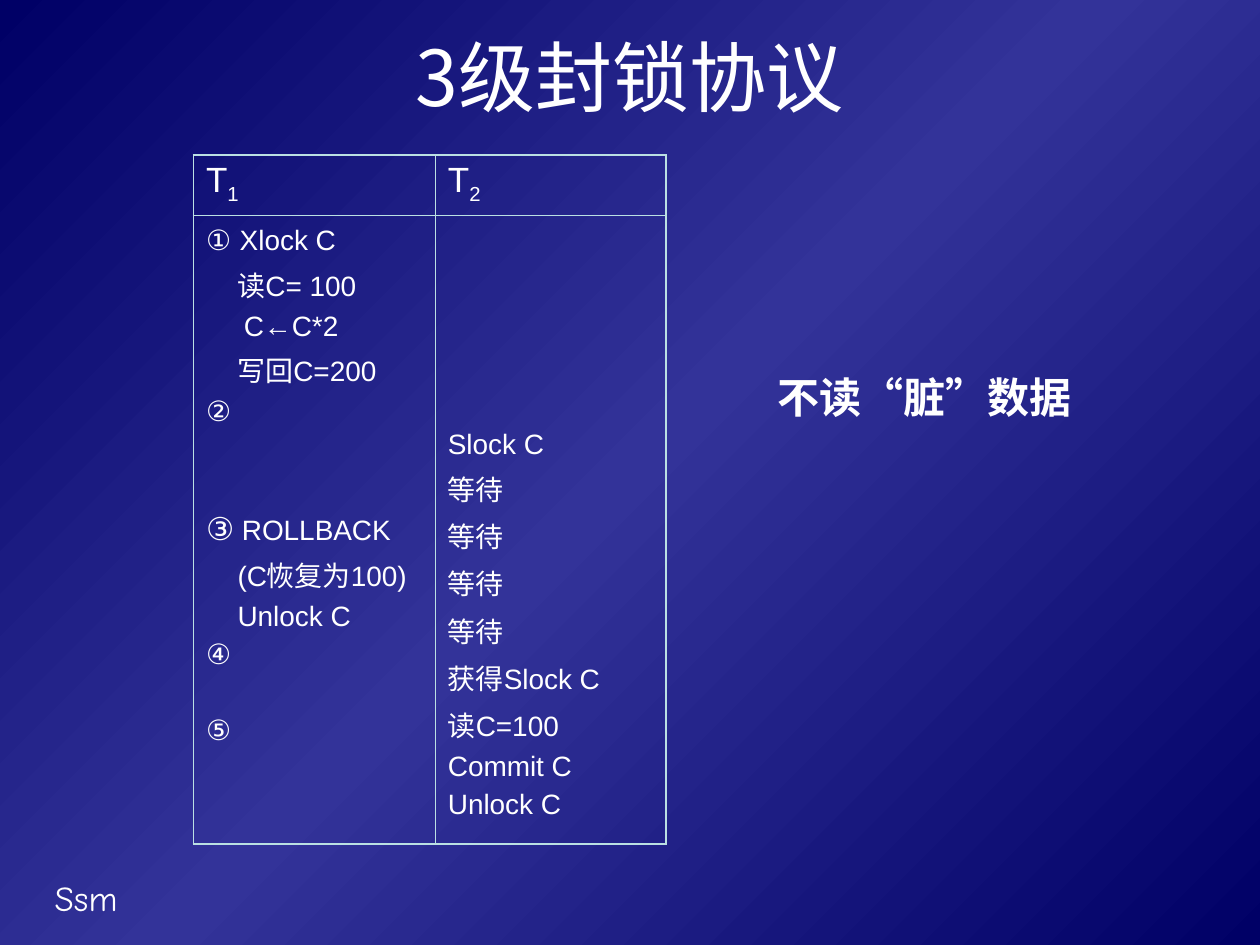
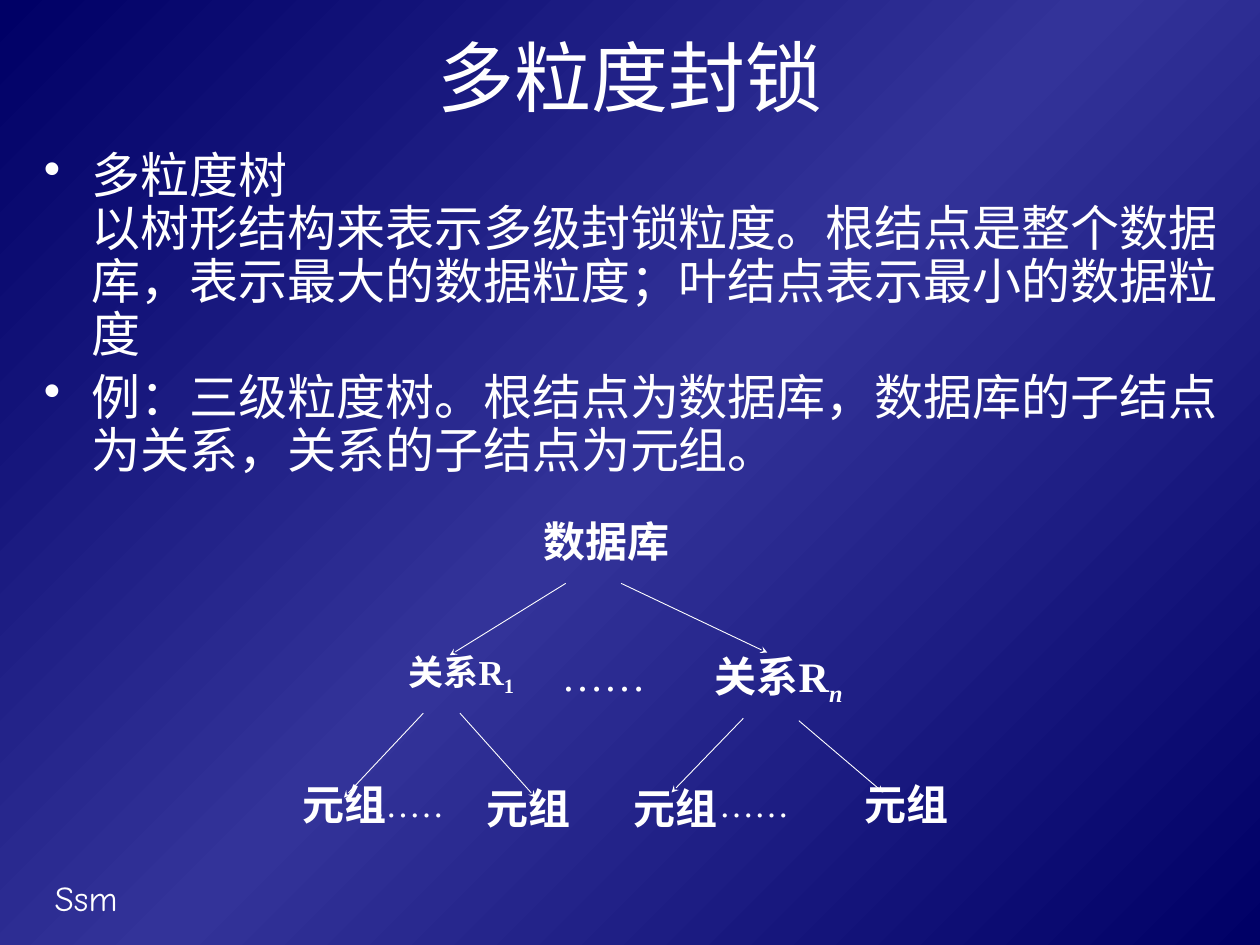
from copy import deepcopy
from dataclasses import dataclass
from typing import NamedTuple

from lxml.etree import SubElement
from pptx import Presentation
from pptx.dml.color import RGBColor as Rgb
from pptx.enum.shapes import MSO_CONNECTOR as Connector
from pptx.enum.text import MSO_ANCHOR as Anchor, PP_ALIGN as Align
from pptx.oxml.ns import qn
from pptx.util import Emu, Inches, Pt

COLUMNS, ROWS = 100, 75
UNIT = Inches(0.1)


@dataclass(frozen=True)
class Theme:
    edge: Rgb = Rgb(0x00, 0x00, 0x66)
    middle: Rgb = Rgb(0x33, 0x33, 0x99)
    ink: Rgb = Rgb(0xFF, 0xFF, 0xFF)
    border: Rgb = Rgb(0xBB, 0xE0, 0xE3)
    chinese: str = "Noto Sans CJK SC"
    sans: str = "Arial"
    serif: str = "Times New Roman"
    footer: str = "Comic Neue"
    title_size: float = 44
    body_size: float = 28
    node_size: float = 24
    small_size: float = 20
    step_size: float = 16
    step_gap: float = 4
    thick: float = 1.08
    thin: float = 0.45
    arrow: float = 0.5


THEME = Theme()


class Box(NamedTuple):
    left: float
    top: float
    width: float
    height: float


@dataclass(frozen=True)
class Style:
    font: str
    size: float
    bold: bool = False
    east: str = THEME.chinese


@dataclass(frozen=True)
class Span:
    text: str
    size: float | None = None
    sub: bool = False
    italic: bool = False


@dataclass(frozen=True)
class Para:
    spans: tuple[Span, ...]
    before: float = 0
    indent: float = 0
    align: Align = Align.LEFT
    spacing: float = 1
    bullet: bool = False


@dataclass(frozen=True)
class Node:
    box: Box
    spans: tuple[Span, ...]
    size: float = THEME.node_size


class Arrow(NamedTuple):
    start_x: float
    start_y: float
    end_x: float
    end_y: float


TITLE_STYLE = Style(THEME.chinese, THEME.title_size)
BODY_STYLE = Style(THEME.chinese, THEME.body_size)
FOOTER_STYLE = Style(THEME.footer, THEME.small_size)
HEAD_STYLE = Style(THEME.sans, THEME.small_size)
STEP_STYLE = Style(THEME.sans, THEME.step_size)
NOTE_STYLE = Style(THEME.serif, THEME.node_size, bold=True)

TITLE_BOX = Box(5, 1.65, 90, 8.7)
FOOTER_BOX = Box(3.35, 69.1, 20.8, 4.4)
NOTE_BOX = Box(59.2, 28.1, 28.3, 6.7)
TABLE_BOX = Box(15.35, 12.3, 37.5, 54.7)
TABLE_COLUMNS = (19.2, 18.3)
TABLE_ROWS = (4.8, 49.9)
SECOND_START = 17
BODY_BOX = Box(2.5, 11.5, 95.8, 29)


def step(text: str, blank_lines: int = 0, indent: float = 0) -> Para:
    line = THEME.step_size * 1.12 + THEME.step_gap
    return Para((Span(text),), THEME.step_gap + blank_lines * line, indent)


FIRST_STEPS = (
    Para((Span("①"), Span(" ", 18), Span("Xlock C"))),
    step("读C= 100", indent=2.5),
    step("C←C*2", indent=3),
    step("写回C=200", indent=2.5),
    step("②"),
    Para((Span("③", 18), Span(" ROLLBACK")), step("", 2).before),
    step("(C恢复为100)", indent=2.5),
    step("Unlock C", indent=2.5),
    step("④"),
    step("⑤", 1),
)
SECOND_STEPS = (
    Para((Span("Slock C"),)),
    *(step("等待") for _ in range(4)),
    *map(step, ("获得Slock C", "读C=100", "Commit C", "Unlock C")),
)
BODY_TEXTS = (
    "多粒度树\n以树形结构来表示多级封锁粒度。根结点是整个数据库，"
    "表示最大的数据粒度；叶结点表示最小的数据粒度",
    "例：三级粒度树。根结点为数据库，数据库的子结点为关系，关系的子结点为元组。",
)

TUPLE = (Span("元组"),)
NODES = (
    Node(Box(40.9, 40.65, 14.4, 6.4), (Span("数据库"),)),
    Node(Box(54.5, 51.1, 14.6, 5.7),
         (Span("关系R"), Span("n", sub=True, italic=True))),
    Node(Box(28.2, 51.1, 16.8, 9.1),
         (Span("关系R"), Span("1", sub=True)), THEME.small_size),
    Node(Box(21.65, 61.55, 11.4, 5.9), TUPLE),
    Node(Box(64.75, 61.55, 14.4, 6.6), TUPLE),
    Node(Box(36.25, 61.85, 11.4, 5.9), TUPLE),
    Node(Box(47.9, 61.85, 11.4, 5.9), TUPLE),
)
DOTS = (Span("……"),)
GAPS = (
    Node(Box(43.6, 51.3, 14.6, 4.8), DOTS),
    Node(Box(56.1, 61.8, 14.6, 6.6), DOTS, THEME.small_size),
    Node(Box(28.7, 61.8, 14.6, 4.8), DOTS, THEME.small_size),
)
ARROWS = (
    Arrow(44.9, 46.3, 35.7, 52), Arrow(49.3, 46.3, 60.9, 51.8),
    Arrow(33.6, 56.6, 27.3, 63.3), Arrow(36.5, 56.6, 42.5, 63.3),
    Arrow(59, 57, 53.3, 62.9), Arrow(63.4, 57.2, 70.1, 62.9),
)


def grid(value: float) -> Emu:
    return Emu(round(value * UNIT))


def place(box: Box) -> tuple[Emu, ...]:
    return tuple(map(grid, box))


def add_span(para, span: Span, style: Style) -> None:
    for number, text in enumerate(span.text.split("\n")):
        if number:
            para.add_line_break()
        run = para.add_run()
        run.text = text
        font = run.font
        font.name = style.font
        font.size = Pt(span.size or style.size)
        font.bold = style.bold
        font.italic = span.italic
        font.color.rgb = THEME.ink
        properties = run._r.get_or_add_rPr()
        SubElement(properties, qn("a:ea")).set("typeface", style.east)
        if span.sub:
            properties.set("baseline", "-25000")


def write(frame, paras: tuple[Para, ...], style: Style) -> None:
    for number, item in enumerate(paras):
        para = frame.add_paragraph() if number else frame.paragraphs[0]
        para.alignment = item.align
        para.line_spacing = item.spacing
        para.space_before = Pt(item.before if number else 0)
        properties = para._p.get_or_add_pPr()
        if item.indent:
            properties.set("marL", str(grid(item.indent)))
        if item.bullet:
            properties.set("indent", str(-grid(item.indent)))
            SubElement(properties, qn("a:buChar")).set("char", "•")
        for span in item.spans:
            add_span(para, span, style)


def add_text(page, box: Box, paras: tuple[Para, ...], style: Style,
             wrap: bool = True, anchor: Anchor = Anchor.TOP) -> None:
    frame = page.shapes.add_textbox(*place(box)).text_frame
    frame.word_wrap = wrap
    frame.vertical_anchor = anchor
    write(frame, paras, style)


def paint_background(master) -> None:
    fill = master.background.fill
    fill.gradient()
    fill.gradient_angle = 315
    stops = master._element.find(".//" + qn("a:gsLst"))
    stops.insert(1, deepcopy(stops[0]))
    colors = (THEME.edge, THEME.middle, THEME.edge)
    for number, (stop, color) in enumerate(zip(fill.gradient_stops, colors)):
        stop.color.rgb = color
        stop.position = number / 2


def add_page(deck, title: str):
    page = deck.slides.add_slide(deck.slide_layouts.get_by_name("Title Only"))
    heading = page.shapes.title
    heading.left, heading.top, heading.width, heading.height = place(TITLE_BOX)
    heading.text_frame.vertical_anchor = Anchor.MIDDLE
    write(heading.text_frame, (Para((Span(title),), align=Align.CENTER),), TITLE_STYLE)
    add_text(page, FOOTER_BOX, (Para((Span("Ssm"),)),), FOOTER_STYLE)
    return page


def set_borders(cell, row: int, column: int) -> None:
    properties = cell._tc.get_or_add_tcPr()
    outer = {"L": column == 0, "R": column == 1, "T": row == 0, "B": row == 1}
    for number, (side, is_outer) in enumerate(outer.items()):
        line = properties.makeelement(qn(f"a:ln{side}"), {
            "w": str(Pt(THEME.thick if is_outer else THEME.thin))})
        color = SubElement(SubElement(line, qn("a:solidFill")), qn("a:srgbClr"))
        color.set("val", str(THEME.border))
        properties.insert(number, line)


def add_schedule(page) -> None:
    table = page.shapes.add_table(2, 2, *place(TABLE_BOX)).table
    table.first_row = table.horz_banding = False
    for column, width in zip(table.columns, TABLE_COLUMNS):
        column.width = grid(width)
    for row, height in zip(table.rows, TABLE_ROWS):
        row.height = grid(height)
    heads = tuple((Para((Span("T"), Span(digit, sub=True))),) for digit in "12")
    contents = ((heads, HEAD_STYLE), ((FIRST_STEPS, SECOND_STEPS), STEP_STYLE))
    for row, (cells, style) in enumerate(contents):
        for column, paras in enumerate(cells):
            cell = table.cell(row, column)
            cell.fill.background()
            set_borders(cell, row, column)
            write(cell.text_frame, paras, style)
    table.cell(1, 1).margin_top = grid(SECOND_START)


def add_arrow(page, arrow: Arrow) -> None:
    connector = page.shapes.add_connector(Connector.STRAIGHT, *map(grid, arrow))
    connector.line.color.rgb = THEME.ink
    connector.line.width = Pt(THEME.arrow)
    head = SubElement(connector.line._get_or_add_ln(), qn("a:tailEnd"))
    for name, value in (("type", "stealth"), ("w", "sm"), ("len", "sm")):
        head.set(name, value)
    SubElement(connector._element.spPr, qn("a:effectLst"))


def add_tree(page) -> None:
    for arrow in ARROWS:
        add_arrow(page, arrow)
    for node in NODES:
        para = Para(node.spans, align=Align.CENTER, spacing=0.96)
        add_text(page, node.box, (para,), Style(THEME.serif, node.size, bold=True))
    for gap in GAPS:
        add_text(page, gap.box, (Para(gap.spans, spacing=0.96),),
                 Style(THEME.serif, gap.size, east=THEME.serif))


def main() -> None:
    deck = Presentation()
    deck.slide_width, deck.slide_height = grid(COLUMNS), grid(ROWS)
    paint_background(deck.slide_master)

    protocol = add_page(deck, "3级封锁协议")
    add_schedule(protocol)
    note = Para((Span("不读“脏”数据"),), align=Align.CENTER)
    add_text(protocol, NOTE_BOX, (note,), NOTE_STYLE, wrap=False, anchor=Anchor.MIDDLE)

    granularity = add_page(deck, "多粒度封锁")
    body = tuple(Para((Span(text),), before=6, indent=3.8, spacing=0.9, bullet=True)
                 for text in BODY_TEXTS)
    add_text(granularity, BODY_BOX, body, BODY_STYLE)
    add_tree(granularity)
    deck.save("out.pptx")


if __name__ == "__main__":
    main()
